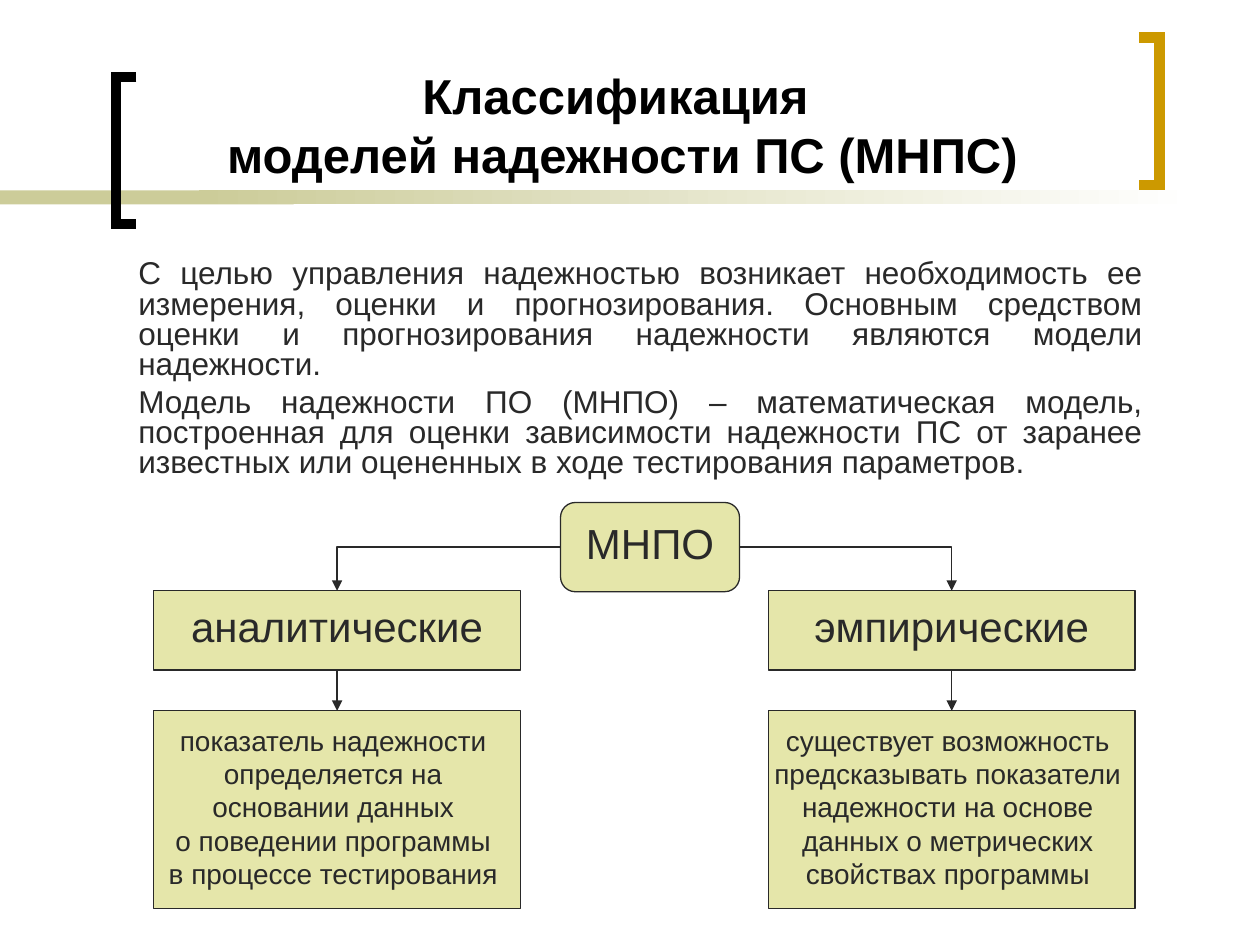
from pptx import Presentation
from pptx import util as u
from pptx.dml import color
from pptx.enum import shapes, text
from pptx.oxml import parse_xml
from pptx.oxml.ns import nsdecls

INK, FILL, BAND = "292929", "E5E6AA", "CCCC99"
RECT = shapes.MSO_SHAPE.RECTANGLE
ROUND = shapes.MSO_SHAPE.ROUNDED_RECTANGLE

BODY = [
    "С целью управления надежностью возникает необходимость ее измерения, "
    "оценки и прогнозирования. Основным средством оценки и прогнозирования "
    "надежности являются модели надежности.",
    "Модель надежности ПО (МНПО) – математическая модель, построенная для "
    "оценки зависимости надежности ПС от заранее известных или оцененных "
    "в ходе тестирования параметров.",
]
KINDS = [
    ("аналитические",
     ["показатель надежности ", "определяется на ", "основании данных ",
      "о поведении программы ", "в процессе тестирования "]),
    ("эмпирические",
     ["существует возможность ", "предсказывать показатели ",
      "надежности на основе ", "данных о метрических ",
      "свойствах программы "]),
]


def rgb(code):
    """Turn a hex string into a colour."""
    return color.RGBColor.from_string(code)


def cm(*nums):
    """Turn numbers of centimetres into lengths."""
    return [u.Cm(n) for n in nums]


def write(frame, lines, size, align):
    """Fill a frame with tightly set paragraphs."""
    for i, line in enumerate(lines):
        para = frame.add_paragraph() if i else frame.paragraphs[0]
        para.text = line
        para.alignment = align
        para.line_spacing = 0.8
        para.space_before = u.Pt(round(size * 0.23, 1))
        para.font.name = "Arial"
        para.font.size = u.Pt(size)
        para.font.color.rgb = rgb(INK)


def bracket(slide, x, y, w, h, code):
    """Draw a square bracket whose spine is at x and whose arms reach w."""
    arm, spine, top, low = cm(x + w, x, y, y + h)
    path = slide.shapes.build_freeform(arm, top)
    path.add_line_segments([(spine, top), (spine, low), (arm, low)], close=False)
    shape = path.convert_to_shape()
    shape.shadow.inherit = False
    shape.fill.background()
    shape.line.color.rgb = rgb(code)
    shape.line.width = u.Pt(6)
    shape.line._get_or_add_ln().append(
        parse_xml(f'<a:miter {nsdecls("a")} lim="800000"/>'))


def bar(slide, x, y, w, h, end=None):
    """Draw a plain band, or one that fades to the end colour."""
    shape = slide.shapes.add_shape(RECT, *cm(x, y, w, h))
    shape.shadow.inherit = False
    shape.line.fill.background()
    if end:
        shape.fill.gradient()
        shape.fill.gradient_angle = 0
        for stop, code, place in zip(shape.fill.gradient_stops, (BAND, end), (0, 1)):
            stop.color.rgb = rgb(code)
            stop.position = place
    else:
        shape.fill.solid()
        shape.fill.fore_color.rgb = rgb(BAND)


def head(slide, x, y, w, h):
    """Place the title with its band and brackets."""
    bar(slide, 0, y + 3.13, 5.92, 0.28)
    bar(slide, 4.01, y + 3.13, 20.12, 0.28, "FFFFFF")
    bracket(slide, x - 0.25, y + 0.84, 0.41, 2.97, "000000")
    bracket(slide, x + 20.78, y + 0.05, -0.41, 2.97, "CC9900")
    title = slide.shapes.title
    title.left, title.top, title.width, title.height = cm(x, y, w, h)
    frame = title.text_frame
    frame.vertical_anchor = text.MSO_ANCHOR.BOTTOM
    frame.text = "Классификация \vмоделей надежности ПС (МНПС)"
    para = frame.paragraphs[0]
    para.alignment = text.PP_ALIGN.CENTER
    para.font.name = "Arial"
    para.font.size = u.Pt(28)
    para.font.bold = True
    para.font.color.rgb = rgb("000000")


def body(slide, x, y, w, h):
    """Place the justified introduction."""
    frame = slide.shapes.add_textbox(*cm(x, y, w, h)).text_frame
    frame.word_wrap = True
    write(frame, BODY, 18, text.PP_ALIGN.JUSTIFY)


def node(slide, kind, x, y, w, h, lines, size):
    """Draw one labelled box of the tree."""
    shape = slide.shapes.add_shape(kind, *cm(x, y, w, h))
    shape.shadow.inherit = False
    shape.fill.solid()
    shape.fill.fore_color.rgb = rgb(FILL)
    shape.line.color.rgb = rgb(INK)
    shape.line.width = u.Pt(0.75)
    frame = shape.text_frame
    frame.word_wrap = False
    frame.vertical_anchor = text.MSO_ANCHOR.MIDDLE
    write(frame, lines, size, text.PP_ALIGN.CENTER)


def arrow(slide, x1, y1, x2, y2):
    """Draw an arrow, with one bend if its ends are not in line."""
    bent = x1 != x2
    kind = shapes.MSO_CONNECTOR.ELBOW if bent else shapes.MSO_CONNECTOR.STRAIGHT
    link = slide.shapes.add_connector(kind, *cm(x1, y1, x2, y2))
    link.line.color.rgb = rgb(INK)
    link.line.width = u.Pt(0.75)
    link.line._get_or_add_ln().append(
        parse_xml(f'<a:tailEnd {nsdecls("a")} type="triangle"/>'))
    prop = link._element.spPr
    prop.append(parse_xml(f'<a:effectLst {nsdecls("a")}/>'))
    if bent:
        prop.prstGeom.set("prst", "bentConnector2")


def tree(slide, x, y, w, h):
    """Draw the root, its two kinds and their notes."""
    wide, root, tall = 7.39, 3.61, 1.8
    left, mid = x + 8.2, y + tall / 2
    kind, note = y + 1.78, y + 4.2
    node(slide, ROUND, left, y, root, tall, ["МНПО"], 24)
    for i, (name, lines) in enumerate(KINDS):
        col = x + i * (w - wide)
        axis = col + wide / 2
        node(slide, RECT, col, kind, wide, 1.6, [name], 24)
        node(slide, RECT, col, note, wide, y + h - note, lines, 16)
        arrow(slide, left + i * root, mid, axis, kind)
        arrow(slide, axis, kind + 1.6, axis, note)


def main():
    """Build and save the slide."""
    deck = Presentation()
    deck.slide_width, deck.slide_height = cm(25.4, 19.05)
    slide = deck.slides.add_slide(deck.slide_layouts[5])
    head(slide, 2.59, 0.71, 19.91, 3.12)
    body(slide, 2.54, 5.13, 20.75, 4.67)
    tree(slide, 3.1, 10.13, 19.78, 8.19)
    deck.save("out.pptx")


if __name__ == "__main__":
    main()
